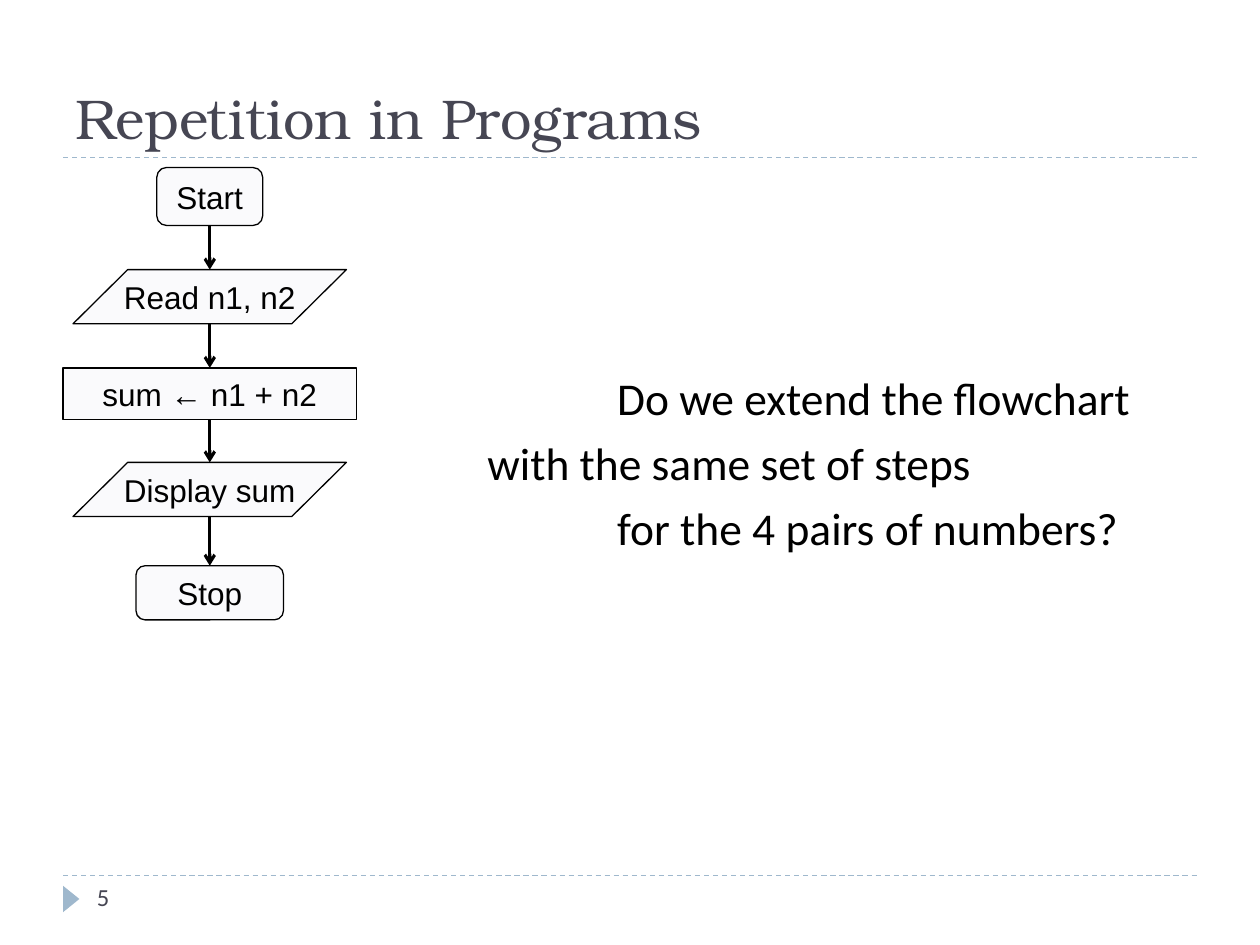
from itertools import pairwise

from lxml.etree import SubElement
from pptx import Presentation
from pptx.dml.color import RGBColor
from pptx.enum.dml import MSO_LINE
from pptx.enum.shapes import MSO_CONNECTOR, MSO_SHAPE as SHAPE
from pptx.enum.text import MSO_ANCHOR as ANCHOR, PP_ALIGN as ALIGN
from pptx.oxml.ns import qn
from pptx.util import Inches, Pt

ACCENT, HEADING, INK, PANEL = "9FB8CD", "464653", "000000", "FAFAFC"


def color(value):
    """Turn a hex string into a colour."""
    return RGBColor.from_string(value)


def apply_format(target, values):
    """Set each named attribute on the target."""
    for name, value in values.items():
        setattr(target, name, value)


def write(paragraph, text, font_name, size, ink):
    """Put one formatted run into a paragraph."""
    run = paragraph.add_run()
    run.text = text
    apply_format(run.font, {"name": font_name, "size": Pt(size)})
    run.font.color.rgb = color(ink)


def add_line(slide, start, end, ink, width):
    """Draw a straight connector without a shadow."""
    line = slide.shapes.add_connector(
        MSO_CONNECTOR.STRAIGHT, *map(Inches, (*start, *end)))
    line.line.color.rgb = color(ink)
    line.line.width = Pt(width)
    SubElement(line._element.spPr, qn("a:effectLst"))
    return line


def add_rule(slide, left, top, width):
    """Draw a dashed horizontal rule."""
    rule = add_line(slide, (left, top), (left + width, top), ACCENT, 0.75)
    rule.line.dash_style = MSO_LINE.DASH


def add_text_box(slide, left, top, width, height):
    """Add a wrapping text box and return its text frame."""
    box = slide.shapes.add_textbox(*map(Inches, (left, top, width, height)))
    box.text_frame.word_wrap = True
    return box.text_frame


def add_title(slide, left, top, width, height):
    """Place the title above its dashed rule."""
    title = slide.shapes.title
    apply_format(title, {"left": Inches(left), "top": Inches(top),
                         "width": Inches(width), "height": Inches(height)})
    apply_format(title.text_frame, {"vertical_anchor": ANCHOR.BOTTOM,
                                    "word_wrap": True})
    paragraph = title.text_frame.paragraphs[0]
    paragraph.alignment = ALIGN.LEFT
    write(paragraph, "Repetition in Programs", "TeX Gyre Bonum", 32, HEADING)
    add_rule(slide, left, top + height, width)


def add_step(slide, kind, text, center, top, width, height):
    """Draw one flowchart step centred on the flow axis."""
    step = slide.shapes.add_shape(
        kind, *map(Inches, (center - width / 2, top, width, height)))
    step.shadow.inherit = False
    step.fill.solid()
    step.fill.fore_color.rgb = color(PANEL)
    step.line.color.rgb = color(INK)
    step.line.width = Pt(0.75)
    apply_format(step.text_frame, {"vertical_anchor": ANCHOR.MIDDLE,
                                   "word_wrap": False})
    paragraph = step.text_frame.paragraphs[0]
    paragraph.alignment = ALIGN.CENTER
    write(paragraph, text, "Arial", 18, INK)
    return step


def add_flowchart(slide, left, top, width):
    """Stack the steps and join each to the next with an arrow."""
    center = left + width / 2
    data = SHAPE.FLOWCHART_DATA
    rows = [
        (SHAPE.ROUNDED_RECTANGLE, "Start", 0, 0.84, 0.46),
        (data, "Read n1, n2", 0.81, 2.17, 0.43),
        (SHAPE.FLOWCHART_PROCESS, "sum ← n1 + n2", 1.59, width, 0.41),
        (data, "Display sum", 2.34, 2.17, 0.43),
        (SHAPE.ROUNDED_RECTANGLE, "Stop", 3.16, 1.17, 0.43),
    ]
    steps = [(add_step(slide, kind, text, center, top + offset, *size),
              kind, top + offset, top + offset + size[1])
             for kind, text, offset, *size in rows]
    for (upper, upper_kind, _, bottom), (lower, lower_kind, next_top, _) in pairwise(steps):
        arrow = add_line(slide, (center, bottom), (center, next_top), INK, 1.75)
        if upper_kind != data:
            arrow.begin_connect(upper, 2)
        if lower_kind != data:
            arrow.end_connect(lower, 0)
        SubElement(arrow.line._get_or_add_ln(), qn("a:tailEnd"), type="arrow")


def add_question(slide, left, top, width, height):
    """Write the question with its first and last lines indented."""
    frame = add_text_box(slide, left, top, width, height)
    lines = [("Do we extend the flowchart", 1.03),
             ("with the same set of steps", 0),
             ("for the 4 pairs of numbers?", 1.03)]
    for number, (text, indent) in enumerate(lines):
        paragraph = frame.add_paragraph() if number else frame.paragraphs[0]
        paragraph.space_before = Pt(6 if number else 0)
        paragraph._p.get_or_add_pPr().set("marL", str(Inches(indent)))
        write(paragraph, text, "Calibri", 26, INK)


def add_footer(slide, left, top, width):
    """Draw the footer rule, its marker and the page number."""
    add_rule(slide, left, top, width)
    marker = slide.shapes.add_shape(
        SHAPE.ISOSCELES_TRIANGLE,
        *map(Inches, (left - 0.04, top + 0.12, 0.21, 0.13)))
    marker.rotation = 90
    marker.shadow.inherit = False
    marker.fill.solid()
    marker.fill.fore_color.rgb = color(ACCENT)
    marker.line.fill.background()
    frame = add_text_box(slide, left + 0.17, top, 2.17, 0.4)
    write(frame.paragraphs[0], "5", "Calibri", 14, HEADING)


def main():
    """Build and save the slide."""
    presentation = Presentation()
    apply_format(presentation, {"slide_width": Inches(10),
                                "slide_height": Inches(7.5)})
    slide = presentation.slides.add_slide(presentation.slide_layouts[5])
    add_title(slide, 0.5, 0.17, 9, 1.08)
    add_flowchart(slide, 0.5, 1.33, 2.33)
    add_question(slide, 3.77, 2.89, 5.73, 1.6)
    add_footer(slide, 0.5, 6.95, 9)
    presentation.save("out.pptx")


if __name__ == "__main__":
    main()
